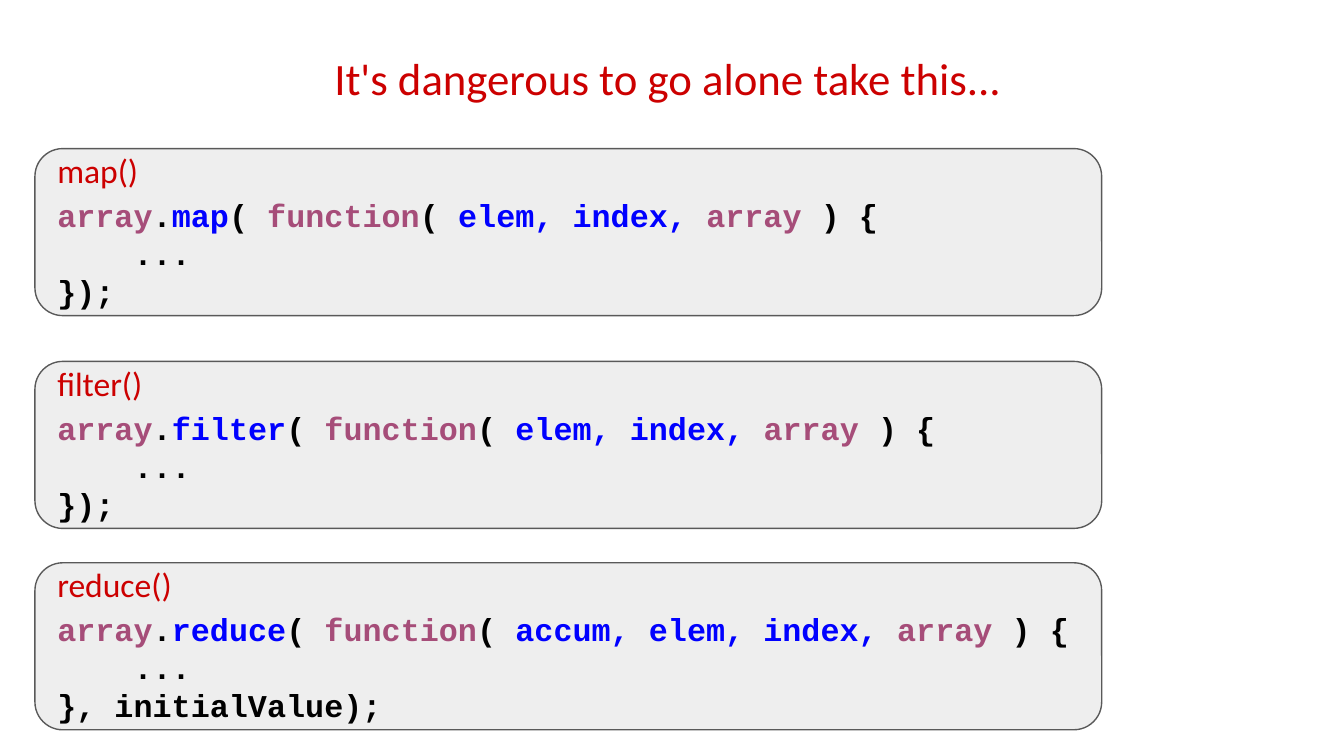
import pptx
import pptx.util
import pptx.dml.color
import pptx.enum.shapes
import pptx.enum.text

Pt = pptx.util.Pt
RGB = pptx.dml.color.RGBColor.from_string
ALIGN = pptx.enum.text.PP_ALIGN
ANCHOR = pptx.enum.text.MSO_ANCHOR

TITLE = "It's dangerous to go alone take this... "
# method, callback parameters, closing line, panel top
METHODS = [
    ("map", "elem, index, ", "});", 79.6),
    ("filter", "elem, index, ", "});", 193.6),
    ("reduce", "accum, elem, index, ", "}, initialValue);", 301.5),
]

THEME = {
    "heading_font": "Calibri", "code_font": "Courier New",
    "title_size": 24, "label_size": 18, "code_size": 17,
    "red": "CC0000", "keyword": "A64D79", "name": "0000FF", "plain": "000000",
    "panel": "EEEEEE", "border": "595959",
}
PANEL_LEFT, PANEL_W, PANEL_H = 18.7, 571.5, 89.5
TEXT_LEFT, INSET = 23.6, 7.2
LABEL_RISE, LABEL_W, LABEL_H = 7.2, 100, 37.4
CODE_DROP, CODE_W, CODE_H = 18, 667.4, 77


def code_lines(method, params, closing):
    """Return lines of (text, theme colour) runs."""
    return [
        [("array", "keyword"), (".", "plain"), (method, "name"), ("(", "plain"),
         (" function", "keyword"), ("( ", "plain"), (params, "name"),
         ("array ", "keyword"), (") {", "plain")],
        [("    ...", "plain")],
        [(closing, "plain")],
    ]


def prepare_frame(sp, anchor):
    tf = sp.text_frame
    tf.word_wrap = True
    tf.auto_size = pptx.enum.text.MSO_AUTO_SIZE.NONE
    tf.vertical_anchor = anchor
    tf.margin_left = tf.margin_right = tf.margin_top = tf.margin_bottom = Pt(INSET)
    return tf


def write_heading(sp, text, size, align):
    p = prepare_frame(sp, ANCHOR.MIDDLE).paragraphs[0]
    p.text = text
    p.alignment = align
    p.font.name = THEME["heading_font"]
    p.font.size = Pt(THEME[size])
    p.font.color.rgb = RGB(THEME["red"])


def add_panel(s, top):
    sp = s.shapes.add_shape(
        pptx.enum.shapes.MSO_SHAPE.FLOWCHART_ALTERNATE_PROCESS,
        Pt(PANEL_LEFT), Pt(top), Pt(PANEL_W), Pt(PANEL_H))
    sp.shadow.inherit = False
    sp.fill.solid()
    sp.fill.fore_color.rgb = RGB(THEME["panel"])
    sp.line.color.rgb = RGB(THEME["border"])
    sp.line.width = Pt(0.75)


def add_code(s, top, lines):
    sp = s.shapes.add_textbox(Pt(TEXT_LEFT), Pt(top), Pt(CODE_W), Pt(CODE_H))
    tf = prepare_frame(sp, ANCHOR.TOP)
    for i, line in enumerate(lines):
        p = tf.add_paragraph() if i else tf.paragraphs[0]
        p.line_spacing = 1.0
        p.font.name = THEME["code_font"]
        p.font.size = Pt(THEME["code_size"])
        p.font.bold = True
        for text, color in line:
            r = p.add_run()
            r.text = text
            r.font.color.rgb = RGB(THEME[color])


def main():
    prs = pptx.Presentation()
    prs.slide_width, prs.slide_height = Pt(720), Pt(405)
    s = prs.slides.add_slide(prs.slide_layouts[5])

    title = s.shapes.title
    title.left, title.top, title.width, title.height = Pt(53.3), Pt(10.8), Pt(614.2), Pt(61.9)
    write_heading(title, TITLE, "title_size", ALIGN.CENTER)

    for method, params, closing, top in METHODS:
        add_panel(s, top)
        label = s.shapes.add_textbox(
            Pt(TEXT_LEFT), Pt(top - LABEL_RISE), Pt(LABEL_W), Pt(LABEL_H))
        write_heading(label, method + "()", "label_size", ALIGN.LEFT)
        add_code(s, top + CODE_DROP, code_lines(method, params, closing))

    prs.save("out.pptx")


if __name__ == "__main__":
    main()
